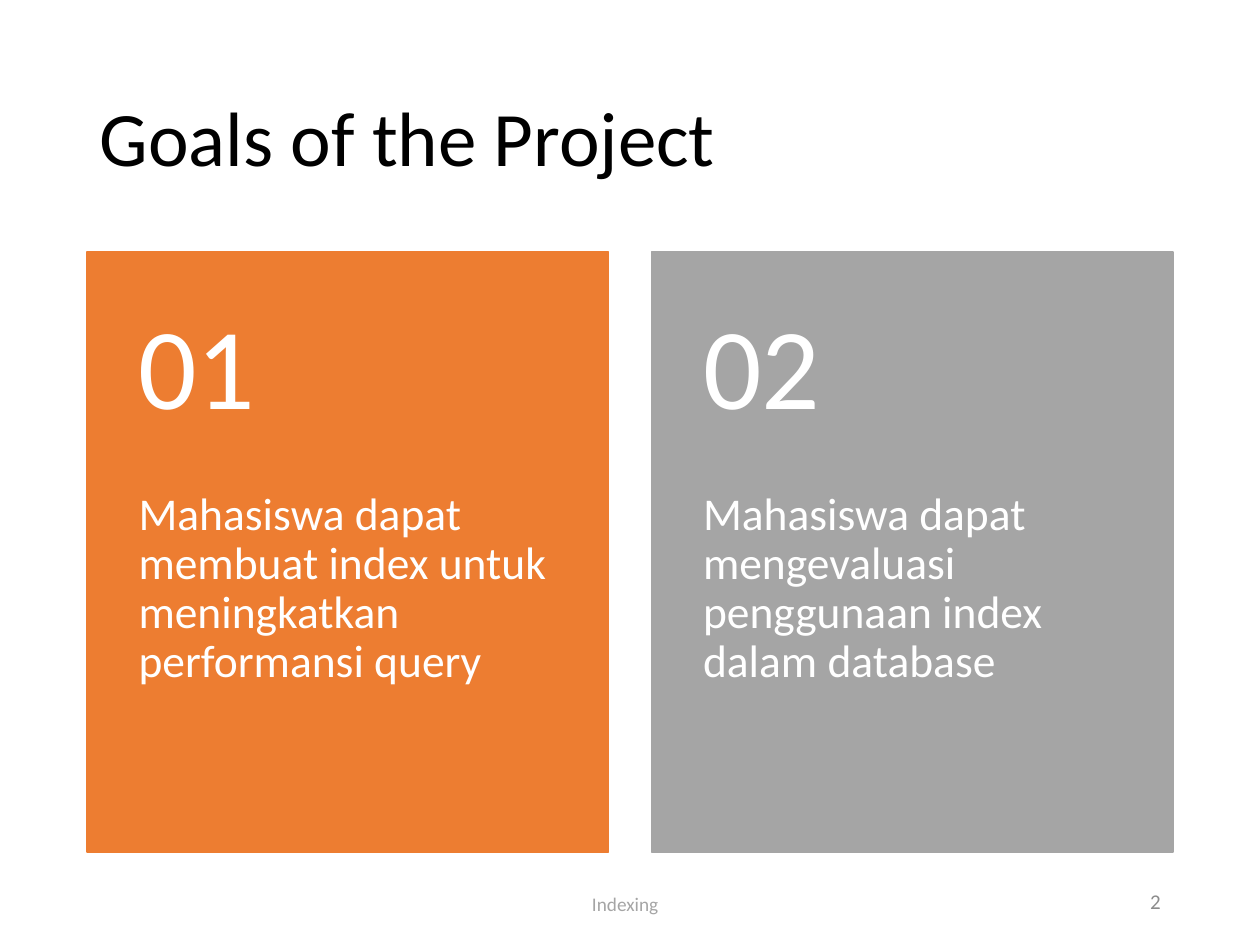
from pptx import Presentation
from pptx.dml.color import RGBColor
from pptx.enum.shapes import MSO_SHAPE
from pptx.enum.text import MSO_ANCHOR, PP_ALIGN
from pptx.util import Inches, Pt

FONT = "Calibri"
BLACK = RGBColor(0x00, 0x00, 0x00)
WHITE = RGBColor(0xFF, 0xFF, 0xFF)
ORANGE = RGBColor(0xED, 0x7D, 0x31)
GRAY = RGBColor(0xA5, 0xA5, 0xA5)
NUMBER_GRAY = RGBColor(0x8C, 0x8C, 0x8C)

MARGIN = 0.69
CARD_TOP, CARD_WIDTH, CARD_HEIGHT = 2, 4.14, 4.76
CARD_GAP = 0.34
NUMBER_HEIGHT = 1.9
CARD_INSET = 0.41

GOALS = [
    ("01", "Mahasiswa dapat membuat index untuk meningkatkan performansi query", ORANGE),
    ("02", "Mahasiswa dapat mengevaluasi penggunaan index dalam database", GRAY),
]


def format_text(shape, text, size, color, anchor=MSO_ANCHOR.TOP,
                align=PP_ALIGN.LEFT, insets=(0.1, 0.05, 0.1, 0.05),
                line_spacing=1.0, wrap=True):
    frame = shape.text_frame
    frame.word_wrap = wrap
    frame.vertical_anchor = anchor
    (frame.margin_left, frame.margin_top,
     frame.margin_right, frame.margin_bottom) = map(Inches, insets)
    frame.text = text
    paragraph = frame.paragraphs[0]
    paragraph.alignment = align
    paragraph.line_spacing = line_spacing
    paragraph.font.name = FONT
    paragraph.font.size = Pt(size)
    paragraph.font.color.rgb = color


def add_title(slide, text):
    title = slide.shapes.title
    title.left, title.top = Inches(MARGIN), Inches(0.4)
    title.width, title.height = Inches(8.62), Inches(1.45)
    format_text(title, text, 44, BLACK, MSO_ANCHOR.MIDDLE, line_spacing=0.9)


def add_text(slide, left, top, width, height, text, size, color, **options):
    box = slide.shapes.add_textbox(
        Inches(left), Inches(top), Inches(width), Inches(height))
    format_text(box, text, size, color, **options)


def add_goal_card(slide, left, number, goal, color):
    card = slide.shapes.add_shape(
        MSO_SHAPE.RECTANGLE, Inches(left), Inches(CARD_TOP),
        Inches(CARD_WIDTH), Inches(CARD_HEIGHT))
    card.shadow.inherit = False
    card.fill.solid()
    card.fill.fore_color.rgb = color
    card.line.color.rgb = color
    card.line.width = Pt(1)

    # Goal below, number above
    add_text(slide, left, CARD_TOP + NUMBER_HEIGHT, CARD_WIDTH,
             CARD_HEIGHT - NUMBER_HEIGHT, goal, 26, WHITE,
             insets=(CARD_INSET, 0, CARD_INSET, 0.36), line_spacing=0.9)
    add_text(slide, left, CARD_TOP, CARD_WIDTH, NUMBER_HEIGHT, number, 66, WHITE,
             anchor=MSO_ANCHOR.MIDDLE,
             insets=(CARD_INSET, 0.18, CARD_INSET, 0.18), line_spacing=0.9)


def main():
    presentation = Presentation()
    presentation.slide_width = Inches(10)
    presentation.slide_height = Inches(7.5)
    slide = presentation.slides.add_slide(presentation.slide_layouts[5])

    add_title(slide, "Goals of the Project")

    # Goal cards
    for index, (number, goal, color) in enumerate(GOALS):
        left = MARGIN + index * (CARD_WIDTH + CARD_GAP)
        add_goal_card(slide, left, number, goal, color)

    # Footer and slide number
    add_text(slide, 4.6, 7.03, 0.73, 0.47, "Indexing", 11, GRAY, wrap=False)
    add_text(slide, 7.06, 6.95, 2.25, 0.4, "2", 12, NUMBER_GRAY,
             anchor=MSO_ANCHOR.MIDDLE, align=PP_ALIGN.RIGHT)

    presentation.save("out.pptx")


if __name__ == "__main__":
    main()
